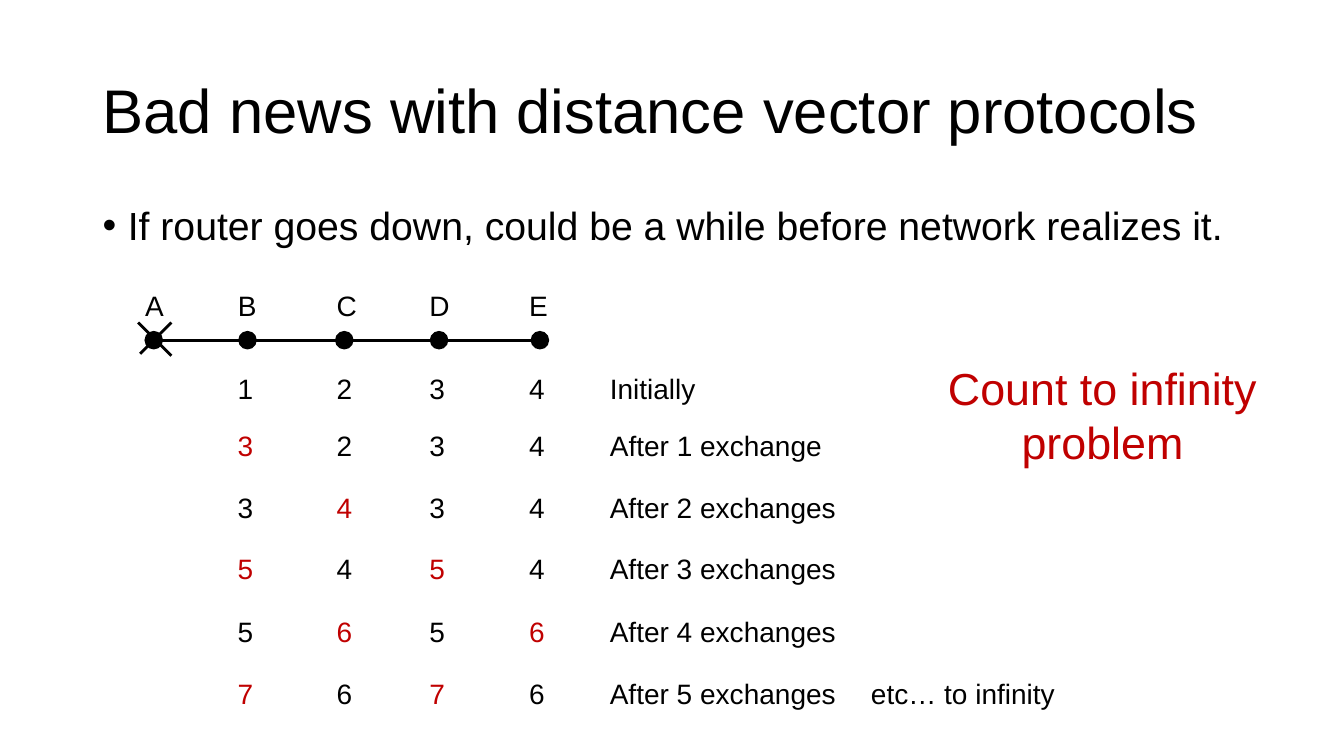
from lxml import etree
from pptx import Presentation
from pptx.dml.color import RGBColor
from pptx.enum.shapes import MSO_CONNECTOR, MSO_SHAPE
from pptx.enum.text import MSO_ANCHOR, MSO_AUTO_SIZE as AutoSize, PP_ALIGN
from pptx.oxml.ns import qn
from pptx.util import Inches, Pt

COLORS = {"ink": "000000", "changed": "C00000", "paper": "FFFFFF"}

deck = Presentation()
deck.slide_width, deck.slide_height = Inches(13.33), Inches(7.5)
page = deck.slides.add_slide(deck.slide_layouts[6])
page.background.fill.solid()
page.background.fill.fore_color.rgb = RGBColor.from_string(COLORS["paper"])


def add_text(text, left, top, width, height=0.44, size=20, color="ink",
             wrap=False, grow=True):
    box = page.shapes.add_textbox(Inches(left), Inches(top), Inches(width), Inches(height))
    frame = box.text_frame
    frame.word_wrap = wrap
    frame.auto_size = AutoSize.SHAPE_TO_FIT_TEXT if grow else AutoSize.NONE
    span = frame.paragraphs[0].add_run()
    span.text = text
    span.font.name = "Arial"
    span.font.size = Pt(size)
    span.font.color.rgb = RGBColor.from_string(COLORS[color])
    return frame


def add_line(x1, y1, x2, y2):
    line = page.shapes.add_connector(
        MSO_CONNECTOR.STRAIGHT, Inches(x1), Inches(y1), Inches(x2), Inches(y2))
    line.line.color.rgb = RGBColor.from_string(COLORS["ink"])
    line.line.width = Pt(2)
    etree.SubElement(line._element.spPr, qn("a:effectLst"))


# Title
title = add_text("Bad news with distance vector protocols", 0.92, 0.4, 11.5, 1.45,
                 size=44, wrap=True, grow=False)
title.vertical_anchor = MSO_ANCHOR.MIDDLE
title.paragraphs[0].line_spacing = 0.9

# Bullet
body = add_text("If router goes down, could be a while before network realizes it.",
                0.92, 2, 11.5, 4.76, size=28, wrap=True, grow=False)
para = body.paragraphs[0]
para.line_spacing = 0.9
properties = para._p.get_or_add_pPr()
properties.set("marL", str(Inches(0.25)))
properties.set("indent", str(Inches(-0.25)))
etree.SubElement(properties, qn("a:buFont")).set("typeface", "Arial")
etree.SubElement(properties, qn("a:buChar")).set("char", "•")

# Router chain: name, dot left, text left, name width
routers = [("A", 1.44, 1.34, 0.39), ("B", 2.37, 2.26, 0.39), ("C", 3.33, 3.24, 0.41),
           ("D", 4.27, 4.16, 0.41), ("E", 5.27, 5.15, 0.39)]
add_line(1.47, 3.38, 5.4, 3.38)
for name, dot_left, text_left, name_width in routers:
    dot = page.shapes.add_shape(MSO_SHAPE.OVAL, Inches(dot_left), Inches(3.29),
                                Inches(0.17), Inches(0.17))
    dot.shadow.inherit = False
    dot.fill.solid()
    dot.fill.fore_color.rgb = RGBColor.from_string(COLORS["ink"])
    dot.line.color.rgb = RGBColor.from_string(COLORS["ink"])
    dot.line.width = Pt(1)
    add_text(name, text_left, 2.81, name_width)

# Cross over the failed router A
add_line(1.37, 3.2, 1.7, 3.53)
add_line(1.7, 3.2, 1.39, 3.51)

# Distances to A after each exchange; a changed distance is red
exchanges = [(3.64, "1234", "Initially", 1.06),
             (4.2, "3234", "After 1 exchange", 2.32),
             (4.82, "3434", "After 2 exchanges", 2.46),
             (5.42, "5454", "After 3 exchanges", 2.46),
             (6.05, "5656", "After 4 exchanges", 2.46),
             (6.66, "7676", "After 5 exchanges", 2.46)]
previous = exchanges[0][1]
for top, distances, label, label_width in exchanges:
    for router, distance, before in zip(routers[1:], distances, previous):
        add_text(distance, router[2], top, 0.36,
                 color="ink" if distance == before else "changed")
    add_text(label, 5.95, top, label_width)
    previous = distances
add_text("etc… to infinity", 8.54, 6.66, 2.12)

# Callout
callout = add_text("Count to infinity problem", 9.14, 3.53, 3.59, 1.18,
                   size=32, color="changed", wrap=True)
callout.paragraphs[0].alignment = PP_ALIGN.CENTER

deck.save("out.pptx")
